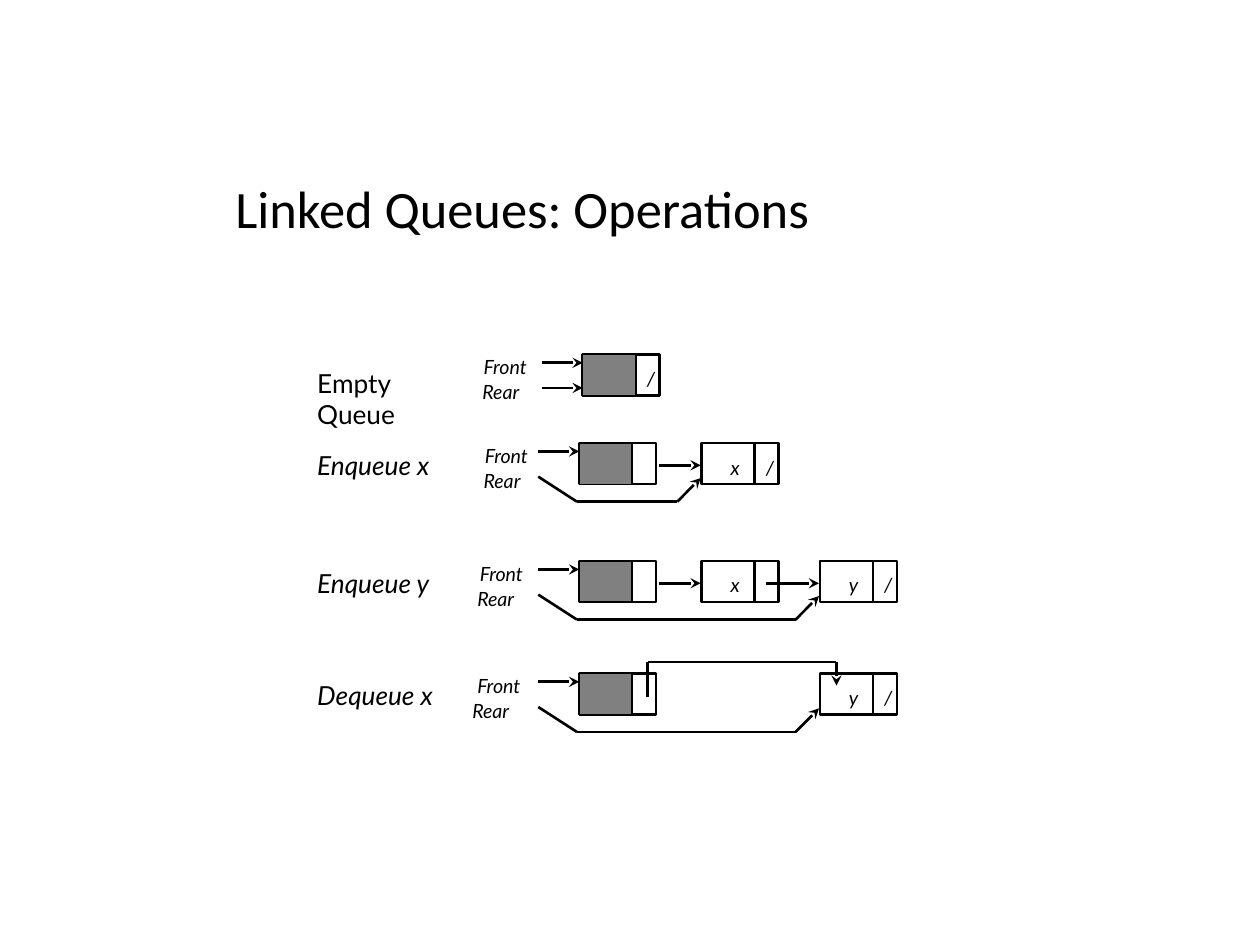
from dataclasses import dataclass

from lxml.etree import SubElement
from pptx import Presentation
from pptx.dml.color import RGBColor
from pptx.enum.shapes import MSO_CONNECTOR as Connector, MSO_SHAPE as Preset
from pptx.enum.text import MSO_ANCHOR as Anchor, MSO_AUTO_SIZE as AutoSize
from pptx.oxml.ns import qn
from pptx.util import Pt


@dataclass(frozen=True)
class Theme:
    ink: RGBColor = RGBColor(0, 0, 0)
    header: RGBColor = RGBColor(0x80, 0x80, 0x80)
    title_font: str = "Calibri"
    body_font: str = "Lato"
    title_size: float = 30
    label_size: float = 15
    node_size: float = 11.2
    stroke: float = 1.5
    thin_stroke: float = 0.75


@dataclass(frozen=True)
class Box:
    left: float
    top: float
    width: float
    height: float

    def lengths(self):
        return [Pt(value) for value in (self.left, self.top, self.width, self.height)]


@dataclass(frozen=True)
class Operation:
    label: str
    top: float
    front_left: float
    rear_left: float
    values: tuple
    italic: bool = True
    label_drop: float = 0


THEME = Theme()
NODE_WIDTH, NODE_HEIGHT, SPLIT = 44, 23.5, 30.2
HEADER_LEFT = 331
SLOT_LEFTS = {"x": 401, "y": 468.6}
POINTER_LEFT, POINTER_RIGHT = 307.6, 314
LABEL_LEFT, LABEL_WIDTH = 174.2, 94.3

OPERATIONS = (
    Operation("Empty Queue", 202.5, 269.3, 268.6, (), False, 3.6),
    Operation("Enqueue x", 253.2, 270, 269.3, ("x",)),
    Operation("Enqueue y", 320.6, 267.1, 265.7, ("x", "y")),
    Operation("Dequeue x", 384.8, 265.7, 262.8, ("y",)),
)


def apply(target, values):
    for name, value in values.items():
        setattr(target, name, value)


def add_text(slide, box, text, size, font=THEME.body_font, italic=True,
             frame_format=None, spacing=None):
    frame = slide.shapes.add_textbox(*box.lengths()).text_frame
    apply(frame, {"word_wrap": True, "auto_size": AutoSize.NONE, **(frame_format or {})})
    paragraph = frame.paragraphs[0]
    if spacing:
        paragraph.line_spacing = spacing
    run = paragraph.add_run()
    run.text = text
    apply(run.font, {"name": font, "size": Pt(size), "italic": italic})
    run.font.color.rgb = THEME.ink


def add_rectangle(slide, box, stroke, fill=None):
    shape = slide.shapes.add_shape(Preset.RECTANGLE, *box.lengths())
    shape.shadow.inherit = False
    if fill is None:
        shape.fill.background()
    else:
        shape.fill.solid()
        shape.fill.fore_color.rgb = fill
    shape.line.color.rgb = THEME.ink
    shape.line.width = Pt(stroke)


def add_path(slide, points, arrow=True):
    for start, end in zip(points, points[1:]):
        connector = slide.shapes.add_connector(
            Connector.STRAIGHT, *(Pt(value) for value in start + end))
        connector.line.color.rgb = THEME.ink
        connector.line.width = Pt(THEME.stroke)
        properties = connector._element.spPr
        SubElement(properties, qn("a:effectLst"))
        if arrow and end == points[-1]:
            SubElement(properties.find(qn("a:ln")), qn("a:tailEnd"), type="stealth")


def add_node(slide, box, value="", last=False, header=False):
    add_rectangle(slide, box, THEME.stroke)
    divider = box.left + SPLIT
    add_path(slide, [(divider, box.top), (divider, box.top + box.height)], arrow=False)
    if header:
        add_rectangle(slide, Box(box.left, box.top, SPLIT, box.height),
                      THEME.thin_stroke, THEME.header)
    for text, offset in ((value, 9.4), ("/" if last else "", 29.6)):
        if text:
            add_text(slide, Box(box.left + offset, box.top + 3.5, 30.2, 20.9),
                     text, THEME.node_size)


def add_pointers(slide, operation, header, target):
    top = header.top
    shift = header.left - HEADER_LEFT
    start = POINTER_LEFT + shift
    for text, left, offset in (("Front", operation.front_left, -3),
                               ("Rear", operation.rear_left, 11)):
        add_text(slide, Box(left, top + offset, POINTER_RIGHT - left, 20.9),
                 text, THEME.node_size)
    add_path(slide, [(start, top + 4.8), (header.left, top + 4.8)])
    if target is header:
        add_path(slide, [(start, top + 19.2), (header.left, top + 19.2)])
    else:
        rail = top + 33.5
        add_path(slide, [(start, top + 19.2), (header.left - 1.3, rail),
                         (target.left - 14, rail), (target.left - 0.6, top + 20)])


def add_link(slide, source, target, start_offset):
    middle = source.top + 12.7
    add_path(slide, [(source.left + start_offset, middle), (target.left - 0.6, middle)])


def add_bypass(slide, source, target):
    start, end = source.left + 39.1, target.left + 9.4
    rail = source.top - 6.6
    add_path(slide, [(start, source.top + 13.5), (start, rail),
                     (end, rail), (end, target.top + 7)])


def add_operation(slide, operation, box):
    add_text(slide, Box(box.left, box.top + operation.label_drop, LABEL_WIDTH, box.height),
             operation.label, THEME.label_size, italic=operation.italic)
    lefts = [HEADER_LEFT if operation.values else HEADER_LEFT + 2]
    lefts += [SLOT_LEFTS[value] for value in operation.values]
    nodes = [Box(left, box.top, NODE_WIDTH, NODE_HEIGHT) for left in lefts]
    for index, (node, value) in enumerate(zip(nodes, ("",) + operation.values)):
        add_node(slide, node, value, last=node is nodes[-1], header=index == 0)
    add_pointers(slide, operation, nodes[0], nodes[-1])
    if operation.values[:1] == ("y",):
        add_bypass(slide, nodes[0], nodes[1])
    else:
        for source, target in zip(nodes, nodes[1:]):
            add_link(slide, source, target, 45.6 if source is nodes[0] else 36.8)


def add_title(slide, box):
    add_text(slide, box, "Linked Queues: Operations", THEME.title_size,
             THEME.title_font, False, {"vertical_anchor": Anchor.MIDDLE}, 0.9)


def main():
    presentation = Presentation()
    apply(presentation, {"slide_width": Pt(720), "slide_height": Pt(540)})
    slide = presentation.slides.add_slide(presentation.slide_layouts[6])
    add_title(slide, Box(127.4, 89.3, 465.8, 63.4))
    for operation in OPERATIONS:
        height = 25.2 if operation.values else 43.9
        add_operation(slide, operation, Box(LABEL_LEFT, operation.top, 338.4, height))
    presentation.save("out.pptx")


if __name__ == "__main__":
    main()
